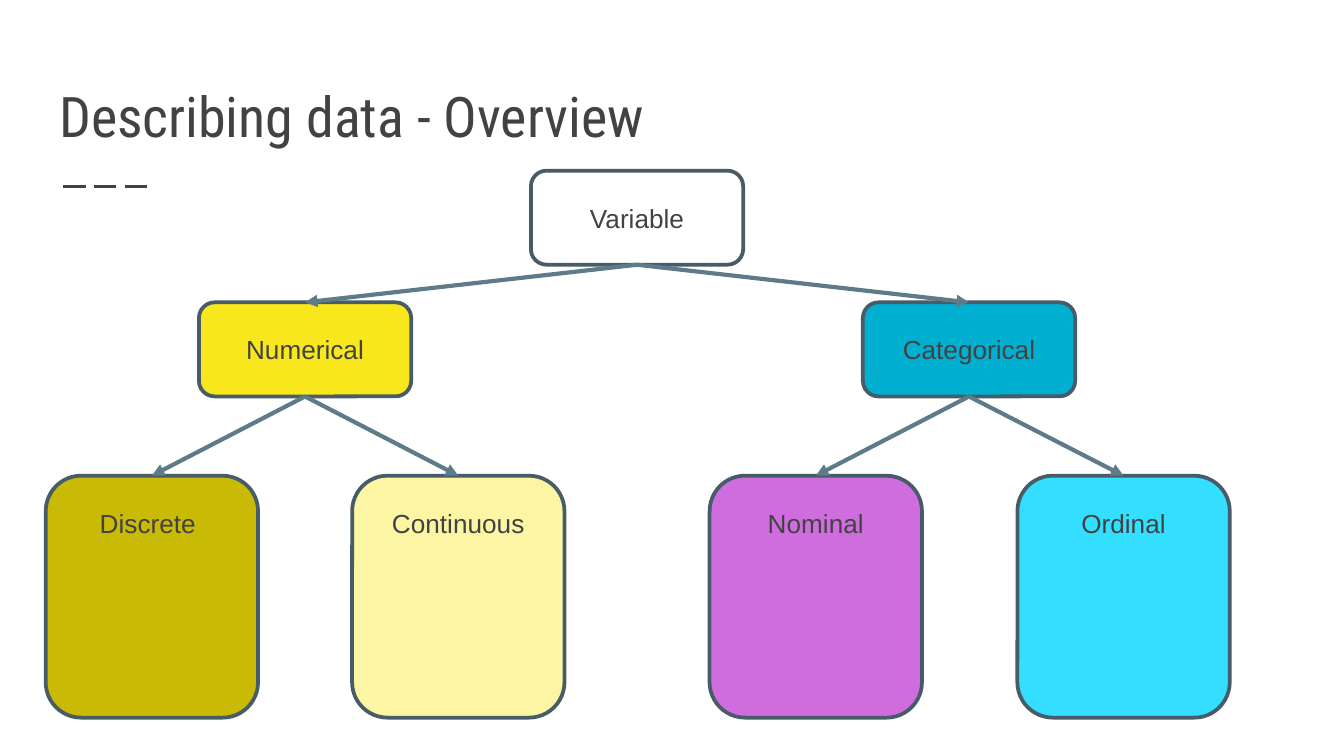
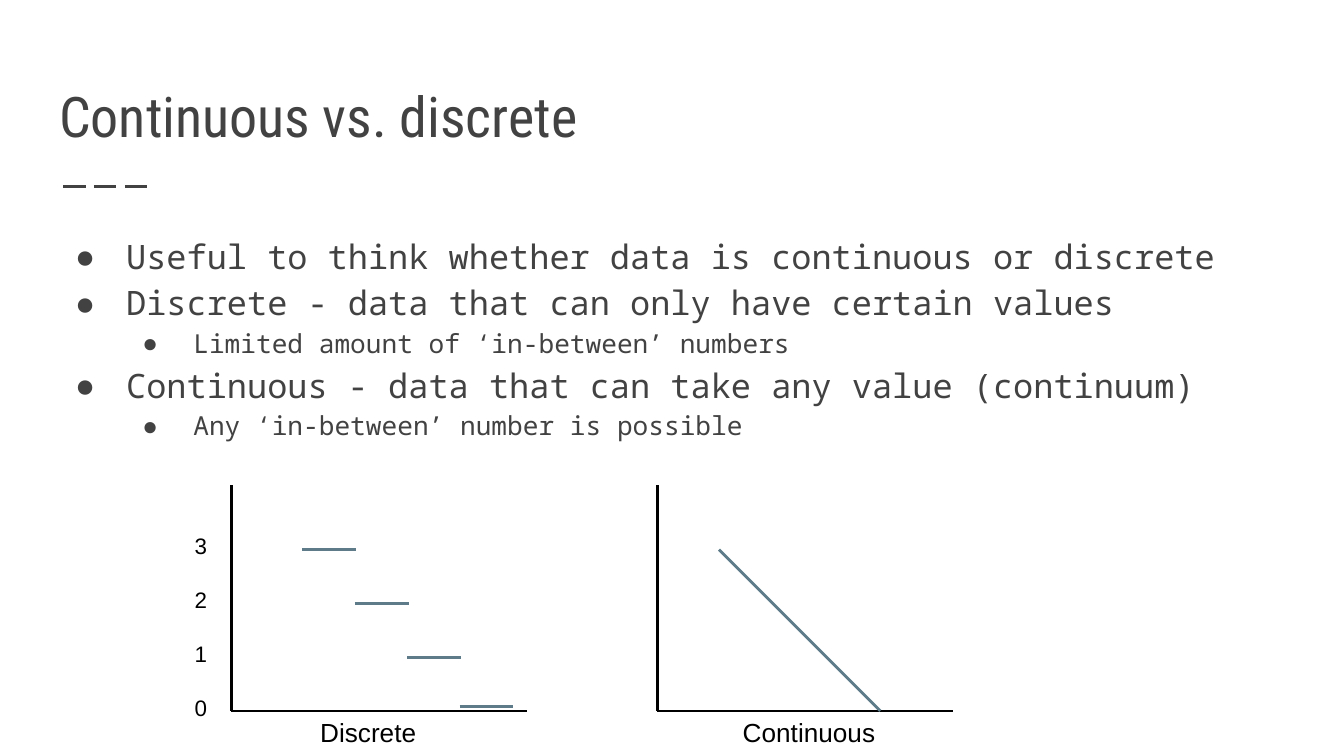
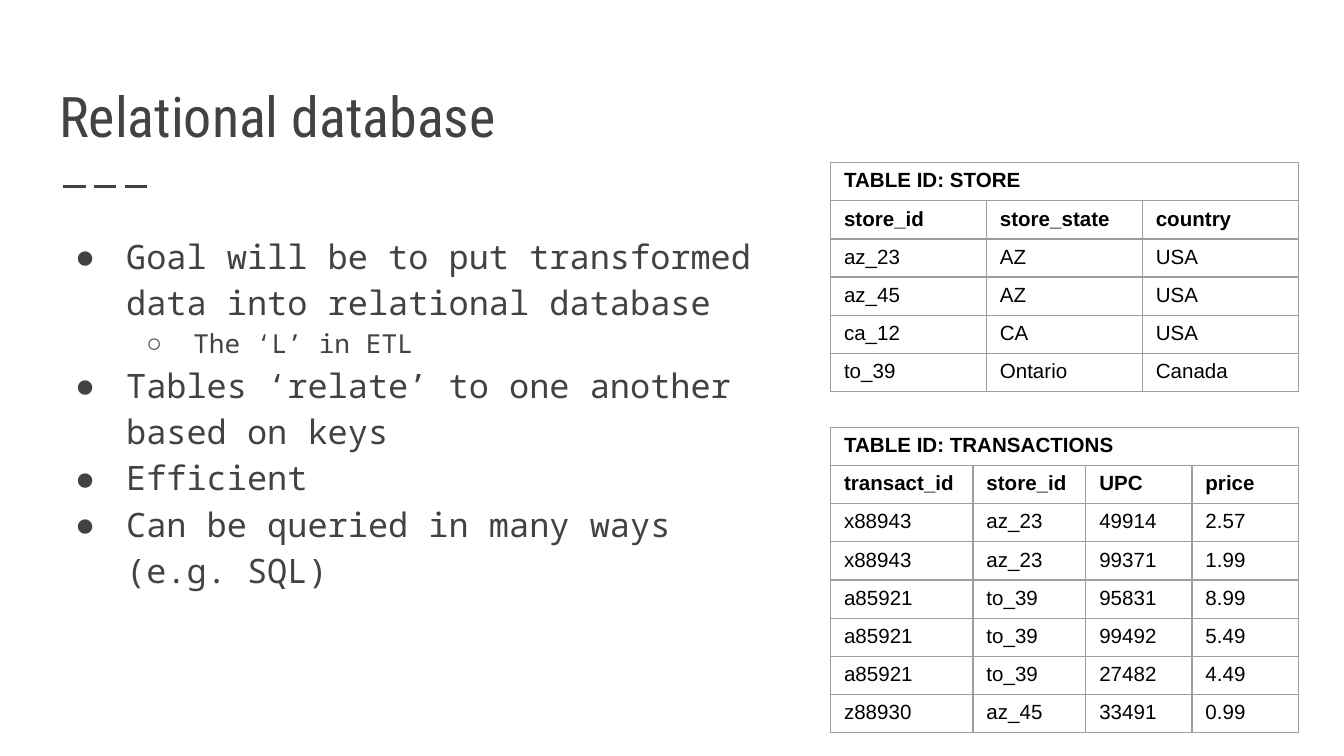
from lxml.etree import SubElement
from pptx import Presentation
from pptx.dml.color import RGBColor
from pptx.enum.dml import MSO_LINE
from pptx.enum.shapes import MSO_CONNECTOR, MSO_SHAPE
from pptx.enum.text import MSO_ANCHOR, MSO_AUTO_SIZE, PP_ALIGN
from pptx.oxml.ns import qn
from pptx.util import Inches, Pt

STRAIGHT = MSO_CONNECTOR.STRAIGHT
ROUNDED = MSO_SHAPE.ROUNDED_RECTANGLE
LONG_DASH = MSO_LINE.LONG_DASH
MIDDLE, BOTTOM = MSO_ANCHOR.MIDDLE, MSO_ANCHOR.BOTTOM
LEFT, CENTER = PP_ALIGN.LEFT, PP_ALIGN.CENTER
FIXED, GROW = MSO_AUTO_SIZE.NONE, MSO_AUTO_SIZE.SHAPE_TO_FIT_TEXT
TOP_SIDE, BOTTOM_SIDE = 0, 2
TITLE_ONLY = 5

INK = RGBColor(0x42, 0x42, 0x42)
BLACK = RGBColor(0x00, 0x00, 0x00)
STEEL = RGBColor(0x5D, 0x7B, 0x89)
OUTLINE = RGBColor(0x47, 0x5C, 0x67)
YELLOW = RGBColor(0xF8, 0xE7, 0x1C)
OLIVE = RGBColor(0xC9, 0xBA, 0x06)
CREAM = RGBColor(0xFC, 0xF5, 0xA4)
TEAL = RGBColor(0x01, 0xAF, 0xD1)
ORCHID = RGBColor(0xCF, 0x6D, 0xDF)
CYAN = RGBColor(0x34, 0xDE, 0xFF)
GRID_GREY = RGBColor(0x9E, 0x9E, 0x9E)

BODY_FACE = "Noto Sans Mono"
TITLE_FONT = {"name": "Roboto Condensed", "size": Pt(30)}
BODY_FONTS = [{"name": BODY_FACE, "size": Pt(size)} for size in (18, 14)]
LABEL_FONT = {"name": "Arial", "size": Pt(14)}
SCALE_FONT = {"name": "Arial", "size": Pt(12)}
CELL_FONT = {"name": "Arial", "size": Pt(11), "bold": False}
HEAD_FONT = {**CELL_FONT, "bold": True}

SLIDE_WIDTH = Inches(10)
SLIDE_HEIGHT = SLIDE_WIDTH * 9 // 16
MARGIN = 0.34
CONTENT_WIDTH = 9.32
BODY_TOP = 1.61
INSETS = {f"margin_{side}": Inches(0.1) for side in ("left", "right", "top", "bottom")}

NODE_WIDTH = 1.58
TREE = ("Variable", 3.95, None, [
    ("Numerical", 1.48, YELLOW, [
        ("Discrete", 0.34, OLIVE, []),
        ("Continuous", 2.62, CREAM, []),
    ]),
    ("Categorical", 6.42, TEAL, [
        ("Nominal", 5.28, ORCHID, []),
        ("Ordinal", 7.57, CYAN, []),
    ]),
])
TREE_LEVELS = [(1.27, 0.7), (2.25, 0.7), (3.54, 1.8)]

PLOT_TOP, PLOT_WIDTH, PLOT_HEIGHT = 3.61, 2.2, 1.68
STEP = 0.4

COMPARISON = [
    (0, "●", "Useful to think whether data is continuous or discrete"),
    (0, "●", "Discrete - data that can only have certain values"),
    (1, "●", "Limited amount of ‘in-between’ numbers"),
    (0, "●", "Continuous - data that can take any value (continuum)"),
    (1, "●", "Any ‘in-between’ number is possible"),
]
DATABASE_GOALS = [
    (0, "●", "Goal will be to put transformed data into relational database"),
    (1, "○", "The ‘L’ in ETL"),
    (0, "●", "Tables ‘relate’ to one another based on keys"),
    (0, "●", "Efficient"),
    (0, "●", "Can be queried in many ways (e.g. SQL)"),
]
STORES = [
    ("store_id", "store_state", "country"),
    ("az_23", "AZ", "USA"),
    ("az_45", "AZ", "USA"),
    ("ca_12", "CA", "USA"),
    ("to_39", "Ontario", "Canada"),
]
TRANSACTIONS = [
    ("transact_id", "store_id", "UPC", "price"),
    ("x88943", "az_23", "49914", "2.57"),
    ("x88943", "az_23", "99371", "1.99"),
    ("a85921", "to_39", "95831", "8.99"),
    ("a85921", "to_39", "99492", "5.49"),
    ("a85921", "to_39", "27482", "4.49"),
    ("z88930", "az_45", "33491", "0.99"),
]


def apply(target, values):
    for key, value in values.items():
        setattr(target, key, value)


def write(paragraph, text, font, color, **layout):
    run = paragraph.add_run()
    run.text = text
    apply(run.font, font)
    run.font.color.rgb = color
    apply(paragraph, layout)


def text_frame(slide, left, top, width, height, **frame_format):
    box = slide.shapes.add_textbox(*map(Inches, (left, top, width, height)))
    apply(box.text_frame, {"word_wrap": True, **frame_format})
    return box.text_frame


def draw_line(slide, start, end, color, width=1.5, dash=None, arrow=False):
    line = slide.shapes.add_connector(STRAIGHT, *map(Inches, (*start, *end)))
    line.line.color.rgb = color
    line.line.width = Pt(width)
    if dash:
        line.line.dash_style = dash
    properties = line._element.spPr
    if arrow:
        SubElement(properties.find(qn("a:ln")), qn("a:tailEnd"), type="triangle")
    SubElement(properties, qn("a:effectLst"))
    return line


def titled_slide(deck, heading):
    slide = deck.slides.add_slide(deck.slide_layouts[TITLE_ONLY])
    title = slide.shapes.title
    apply(title, {"left": Inches(MARGIN), "top": Inches(0.41),
                  "width": Inches(CONTENT_WIDTH), "height": Inches(0.8)})
    apply(title.text_frame, {"vertical_anchor": BOTTOM, "auto_size": FIXED, **INSETS})
    write(title.text_frame.paragraphs[0], heading, TITLE_FONT, INK, alignment=LEFT)
    draw_line(slide, (0.47, 1.39), (1.14, 1.39), INK, dash=LONG_DASH)
    return slide


def bullet_list(slide, left, top, width, height, points):
    frame = text_frame(slide, left, top, width, height, **INSETS)
    for index, (level, mark, text) in enumerate(points):
        paragraph = frame.add_paragraph() if index else frame.paragraphs[0]
        write(paragraph, text, BODY_FONTS[level], INK, level=level, line_spacing=1.15)
        properties = paragraph._p.get_or_add_pPr()
        properties.set("marL", str(Inches(0.5 * (level + 1))))
        properties.set("indent", str(-Inches(0.35 if mark == "○" else 0.38)))
        bullet_color = SubElement(properties, qn("a:buClr"))
        SubElement(bullet_color, qn("a:srgbClr"), val=str(INK))
        SubElement(properties, qn("a:buFont"), typeface=BODY_FACE)
        SubElement(properties, qn("a:buChar"), char=mark)


def tree_node(slide, left, top, height, name, color):
    node = slide.shapes.add_shape(ROUNDED, *map(Inches, (left, top, NODE_WIDTH, height)))
    node.shadow.inherit = False
    if color is None:
        node.fill.background()
    else:
        node.fill.solid()
        node.fill.fore_color.rgb = color
    node.line.color.rgb = OUTLINE
    node.line.width = Pt(2)
    label_inset = 0.09 if name == "Discrete" else 0.12
    label = text_frame(slide, left + label_inset, top + 0.18, 1.34, 0.34,
                       vertical_anchor=MIDDLE, auto_size=GROW)
    write(label.paragraphs[0], name, LABEL_FONT, INK, alignment=CENTER)
    return node


def variable_tree(slide, branch, depth=0):
    name, left, color, children = branch
    parent = tree_node(slide, left, *TREE_LEVELS[depth], name, color)
    for child_branch in children:
        child = variable_tree(slide, child_branch, depth + 1)
        arrow = draw_line(slide, (0, 0), (1, 1), STEEL, 2.25, arrow=True)
        arrow.begin_connect(parent, BOTTOM_SIDE)
        arrow.end_connect(child, TOP_SIDE)
    return parent


def plot_axes(slide, left, top, name, name_width):
    origin = (left, top + PLOT_HEIGHT)
    draw_line(slide, (left, top), origin, BLACK)
    draw_line(slide, (left + PLOT_WIDTH, origin[1]), origin, BLACK)
    caption = text_frame(slide, left + 0.53, origin[1] - 0.01, name_width, 0.34,
                         auto_size=GROW)
    write(caption.paragraphs[0], name, LABEL_FONT, BLACK, alignment=CENTER)


def discrete_plot(slide, left, top):
    plot_axes(slide, left, top, "Discrete", 0.98)
    scale = text_frame(slide, left - 0.37, top + 0.3, 0.36, 1.55, auto_size=GROW)
    for index, value in enumerate("3210"):
        paragraph = scale.add_paragraph() if index else scale.paragraphs[0]
        write(paragraph, value, SCALE_FONT, BLACK, space_before=Pt(14.5 if index else 0))
        step_left = left + 0.53 + 0.39 * index
        step_top = top + min(0.48 + STEP * index, PLOT_HEIGHT - 0.03)
        draw_line(slide, (step_left, step_top), (step_left + STEP, step_top), STEEL)


def continuous_plot(slide, left, top):
    plot_axes(slide, left, top, "Continuous", 1.2)
    draw_line(slide, (left + 0.46, top + 0.48),
              (left + 0.46 + 3 * STEP, top + PLOT_HEIGHT), STEEL)


def add_border(cell):
    properties = cell._tc.get_or_add_tcPr()
    for side in ("a:lnL", "a:lnR", "a:lnT", "a:lnB"):
        edge = SubElement(properties, qn(side), w=str(Pt(0.75)))
        fill = SubElement(edge, qn("a:solidFill"))
        SubElement(fill, qn("a:srgbClr"), val=str(GRID_GREY))


def data_table(slide, left, top, height, heading, records, widths):
    column_count = len(widths)
    rows = [(heading,) + ("",) * (column_count - 1), *records]
    frame = slide.shapes.add_table(
        len(rows), column_count, *map(Inches, (left, top, sum(widths), height)))
    table = frame.table
    apply(table, {"first_row": False, "horz_banding": False})
    for column, width in zip(table.columns, widths):
        column.width = Inches(width)
    for row_index, values in enumerate(rows):
        table.rows[row_index].height = Inches(0.24)
        for column_index, value in enumerate(values):
            cell = table.cell(row_index, column_index)
            add_border(cell)
            cell.fill.background()
            if value:
                font = HEAD_FONT if row_index < 2 else CELL_FONT
                write(cell.text_frame.paragraphs[0], value, font, BLACK)
    table.cell(0, 0).merge(table.cell(0, column_count - 1))
    frame.height = Inches(height)


def overview_slide(deck):
    slide = titled_slide(deck, "Describing data - Overview")
    variable_tree(slide, TREE)


def comparison_slide(deck):
    slide = titled_slide(deck, "Continuous vs. discrete")
    bullet_list(slide, MARGIN, BODY_TOP, CONTENT_WIDTH, 3.39, COMPARISON)
    discrete_plot(slide, 1.72, PLOT_TOP)
    continuous_plot(slide, 4.89, PLOT_TOP)


def database_slide(deck):
    slide = titled_slide(deck, "Relational database")
    bullet_list(slide, MARGIN, BODY_TOP, 5.43, 3.39, DATABASE_GOALS)
    data_table(slide, 6.18, 1.21, 1.7, "TABLE ID: STORE", STORES, [1.16] * 3)
    data_table(slide, 6.18, 3.18, 2.27, "TABLE ID: TRANSACTIONS", TRANSACTIONS,
               [1.06, 0.84, 0.79, 0.79])


def main():
    deck = Presentation()
    deck.slide_width, deck.slide_height = SLIDE_WIDTH, SLIDE_HEIGHT
    for build_slide in (overview_slide, comparison_slide, database_slide):
        build_slide(deck)
    deck.save("out.pptx")


if __name__ == "__main__":
    main()
